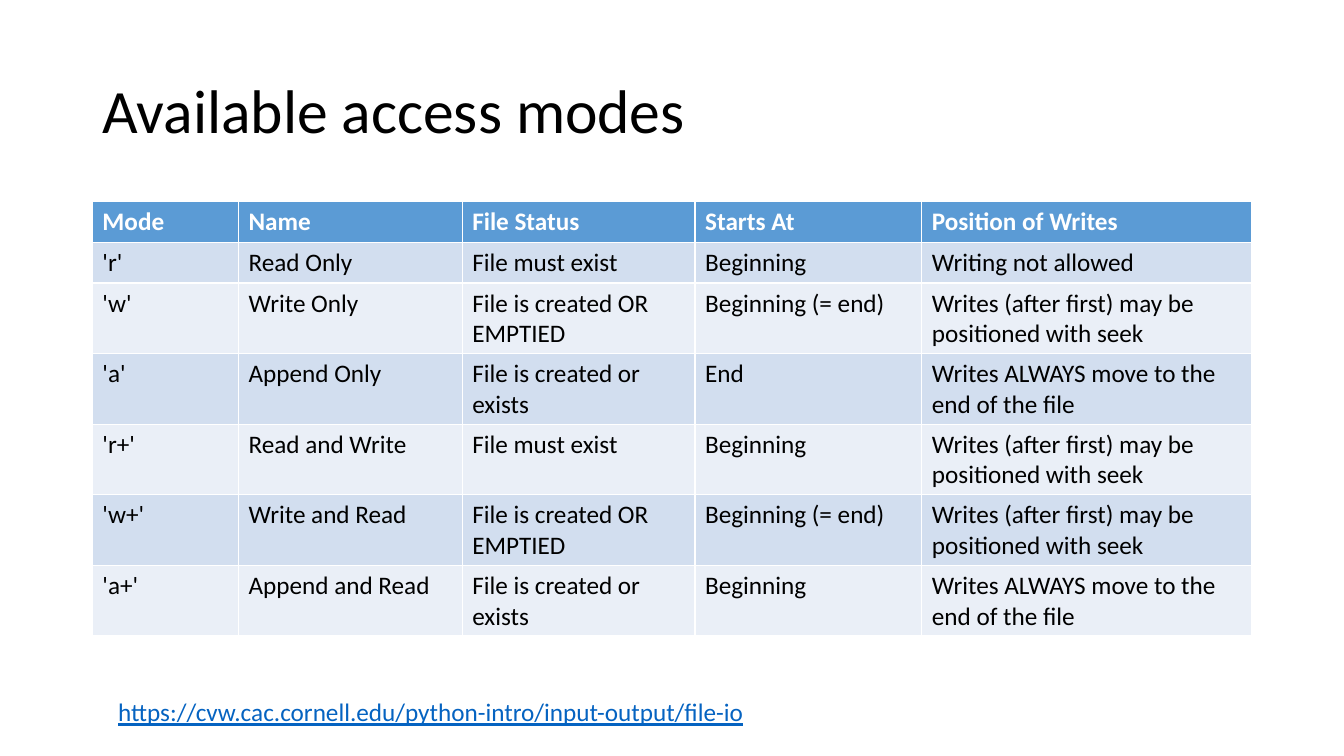
from pptx import Presentation
from pptx.dml.color import RGBColor
from pptx.enum.text import MSO_ANCHOR as Anchor, MSO_AUTO_SIZE as AutoSize
from pptx.util import Pt

COLORS = {
    "text": "000000",
    "header_text": "FFFFFF",
    "header": "5B9BD5",
    "odd": "D2DEEF",
    "even": "EAEFF7",
    "address": "0563C1",
}
SEEK = "Writes (after first) may be positioned with seek"
ALWAYS_END = "Writes ALWAYS move to the end of the file"
CREATED_EMPTY = "File is created OR EMPTIED"
CREATED_EXISTS = "File is created or exists"
ROWS = [
    ("Mode", "Name", "File Status", "Starts At", "Position of Writes"),
    ("'r'", "Read Only", "File must exist", "Beginning", "Writing not allowed"),
    ("'w'", "Write Only", CREATED_EMPTY, "Beginning (= end)", SEEK),
    ("'a'", "Append Only", CREATED_EXISTS, "End", ALWAYS_END),
    ("'r+'", "Read and Write", "File must exist", "Beginning", SEEK),
    ("'w+'", "Write and Read", CREATED_EMPTY, "Beginning (= end)", SEEK),
    ("'a+'", "Append and Read", CREATED_EXISTS, "Beginning", ALWAYS_END),
]
COLUMN_WIDTHS = [104.4, 159.8, 166.3, 162, 235.5]
ROW_HEIGHT = 29.2


def style_text(frame, size, color, bold=False, underline=False):
    for para in frame.paragraphs:
        for span in para.runs:
            span.font.name = "Calibri"
            span.font.size = Pt(size)
            span.font.bold = bold
            span.font.underline = underline
            span.font.color.rgb = RGBColor.from_string(COLORS[color])


deck = Presentation()
deck.slide_width, deck.slide_height = Pt(960), Pt(540)
page = deck.slides.add_slide(deck.slide_layouts[6])

title = page.shapes.add_textbox(Pt(66), Pt(28.75), Pt(828), Pt(104.4)).text_frame
title.word_wrap = True
title.vertical_anchor = Anchor.MIDDLE
title.text = "Available access modes"
title.paragraphs[0].line_spacing = 0.9
style_text(title, 44, "text")

table_frame = page.shapes.add_table(
    len(ROWS), len(COLUMN_WIDTHS), Pt(66), Pt(143.75), Pt(828), Pt(310.3)
)
modes = table_frame.table
for column, width in zip(modes.columns, COLUMN_WIDTHS):
    column.width = Pt(width)
for index, (row, values) in enumerate(zip(modes.rows, ROWS)):
    row.height = Pt(ROW_HEIGHT)
    is_header = index == 0
    fill = "header" if is_header else "odd" if index % 2 else "even"
    for cell, value in zip(row.cells, values):
        cell.text_frame.text = value
        cell.fill.solid()
        cell.fill.fore_color.rgb = RGBColor.from_string(COLORS[fill])
        style_text(cell.text_frame, 18, "header_text" if is_header else "text", is_header)

address = page.shapes.add_textbox(Pt(77.3), Pt(494), Pt(467.3), Pt(29.1)).text_frame
address.word_wrap = False
address.auto_size = AutoSize.SHAPE_TO_FIT_TEXT
address.text = "https://cvw.cac.cornell.edu/python-intro/input-output/file-io"
style_text(address, 18, "address", underline=True)

deck.save("out.pptx")
